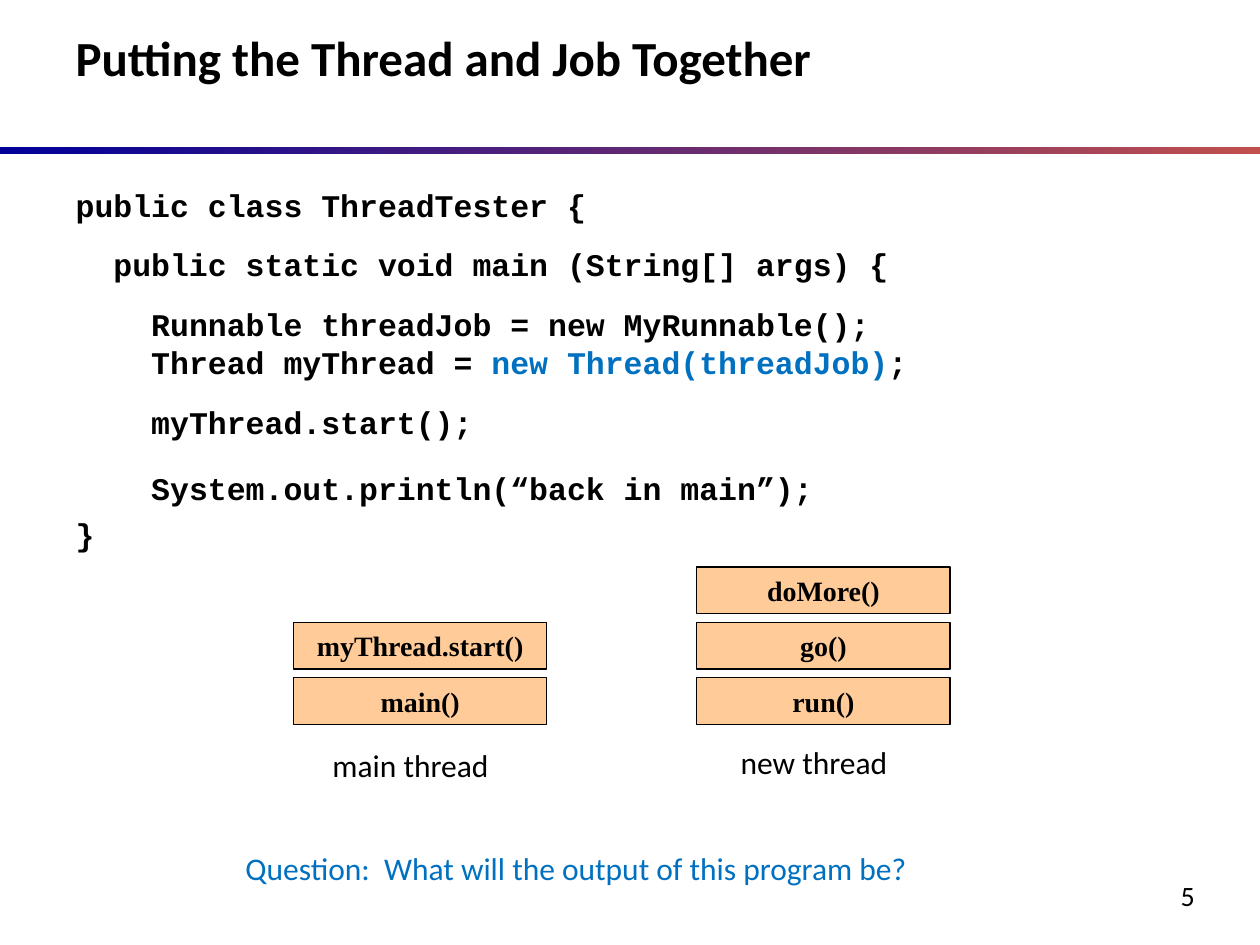
"""Build a slide on running a job in a new thread."""
import pptx
import pptx.util
import pptx.dml.color
import pptx.enum.shapes
import pptx.enum.text

Inches, Pt = pptx.util.Inches, pptx.util.Pt
RGBColor = pptx.dml.color.RGBColor
ALIGN = pptx.enum.text.PP_ALIGN
ANCHOR = pptx.enum.text.MSO_ANCHOR
RECT = pptx.enum.shapes.MSO_SHAPE.RECTANGLE

BLACK = RGBColor(0, 0, 0)
BLUE = RGBColor(0x00, 0x70, 0xC0)
NAVY = RGBColor(0x00, 0x00, 0x99)
RED = RGBColor(0xC0, 0x50, 0x4D)
PEACH = RGBColor(0xFF, 0xCC, 0x99)

TITLE = "Putting the Thread and Job Together"
CODE = [
    (0, 0, 12, [("public class ThreadTester {", BLACK)]),
    (1, 0, 12, [("public static void main (String[] args) {", BLACK)]),
    (2, 0, 0, [("Runnable threadJob = new MyRunnable();", BLACK)]),
    (2, 0, 12, [("Thread myThread = ", BLACK),
                ("new Thread(threadJob)", BLUE), (";", BLACK)]),
    (2, 0, 12, [("myThread.start();", BLACK)]),
    (2, 4, 0, [("System.out.println(“back in main”);", BLACK)]),
    (0, 4, 0, [("}", BLACK)]),
]
STACKS = [(2.33, ["main()", "myThread.start()"]),
          (5.53, ["run()", "go()", "doMore()"])]
LABELS = [
    ("main thread", (2.54, 5.87, 1.52, 0.4), 18, BLACK, ALIGN.LEFT),
    ("new thread", (5.78, 5.85, 1.41, 0.4), 18, BLACK, ALIGN.LEFT),
    ("Question:  What will the output of this program be?",
     (1.85, 6.69, 5.8, 0.4), 18, BLUE, ALIGN.LEFT),
    ("5", (8.58, 6.92, 1, 0.37), 16, BLACK, ALIGN.RIGHT),
]
INDENT, BASE, STEP = 0.3, 5.38, 0.44


def place(shape, left, top, width, height):
    shape.left, shape.top = Inches(left), Inches(top)
    shape.width, shape.height = Inches(width), Inches(height)


def style(font, name, size, color, bold=False):
    font.name, font.size, font.bold = name, Pt(size), bold
    font.color.rgb = color


def add_rect(slide, left, top, width, height):
    shape = slide.shapes.add_shape(
        RECT, Inches(left), Inches(top), Inches(width), Inches(height))
    shape.shadow.inherit = False
    return shape


def add_code(frame):
    frame.vertical_anchor = ANCHOR.TOP
    for i, (depth, before, after, parts) in enumerate(CODE):
        para = frame.add_paragraph() if i else frame.paragraphs[0]
        para.space_before, para.space_after = Pt(before), Pt(after)
        para.line_spacing = Pt(22)
        style(para.font, "Courier New", 18, BLACK, True)
        props = para._p.get_or_add_pPr()
        props.set("marL", str(Inches(depth * INDENT)))
        props.set("indent", "0")
        none = pptx.oxml.parse_xml(
            '<a:buNone xmlns:a='
            '"http://schemas.openxmlformats.org/drawingml/2006/main"/>')
        props.insert_element_before(none, "a:tabLst", "a:defRPr", "a:extLst")
        for text, color in parts:
            run = para.add_run()
            run.text = text
            style(run.font, "Courier New", 18, color, True)


def add_call(slide, text, left, top):
    box = add_rect(slide, left, top, 2.01, 0.37)
    box.fill.solid()
    box.fill.fore_color.rgb = PEACH
    box.line.color.rgb = BLACK
    box.line.width = Pt(0.75)
    frame = box.text_frame
    frame.vertical_anchor = ANCHOR.MIDDLE
    para = frame.paragraphs[0]
    para.text, para.alignment = text, ALIGN.CENTER
    style(para.font, "Times New Roman", 16, BLACK, True)


def add_label(slide, text, spot, size, color, align):
    box = slide.shapes.add_textbox(0, 0, 0, 0)
    place(box, *spot)
    box.text_frame.word_wrap = True
    para = box.text_frame.paragraphs[0]
    para.text, para.alignment = text, align
    style(para.font, "Calibri", size, color)


deck = pptx.Presentation()
deck.slide_width, deck.slide_height = Inches(10), Inches(7.5)
slide = deck.slides.add_slide(deck.slide_layouts[1])

title, body = slide.placeholders
place(title, 0.5, 0.17, 9.08, 0.83)
title.text_frame.vertical_anchor = ANCHOR.TOP
head = title.text_frame.paragraphs[0]
head.text, head.alignment = TITLE, ALIGN.LEFT
style(head.font, "Calibri", 28, BLACK, True)

place(body, 0.5, 1.42, 9, 5.42)
add_code(body.text_frame)

rule = add_rect(slide, 0, 1.17, 10, 0.05)
rule.line.fill.background()
rule.fill.gradient()
rule.fill.gradient_angle = 0
for stop, color in zip(rule.fill.gradient_stops, (NAVY, RED)):
    stop.color.rgb = color

for left, calls in STACKS:
    for level, call in enumerate(calls):
        add_call(slide, call, left, BASE - level * STEP)
for label in LABELS:
    add_label(slide, *label)

deck.save("out.pptx")
